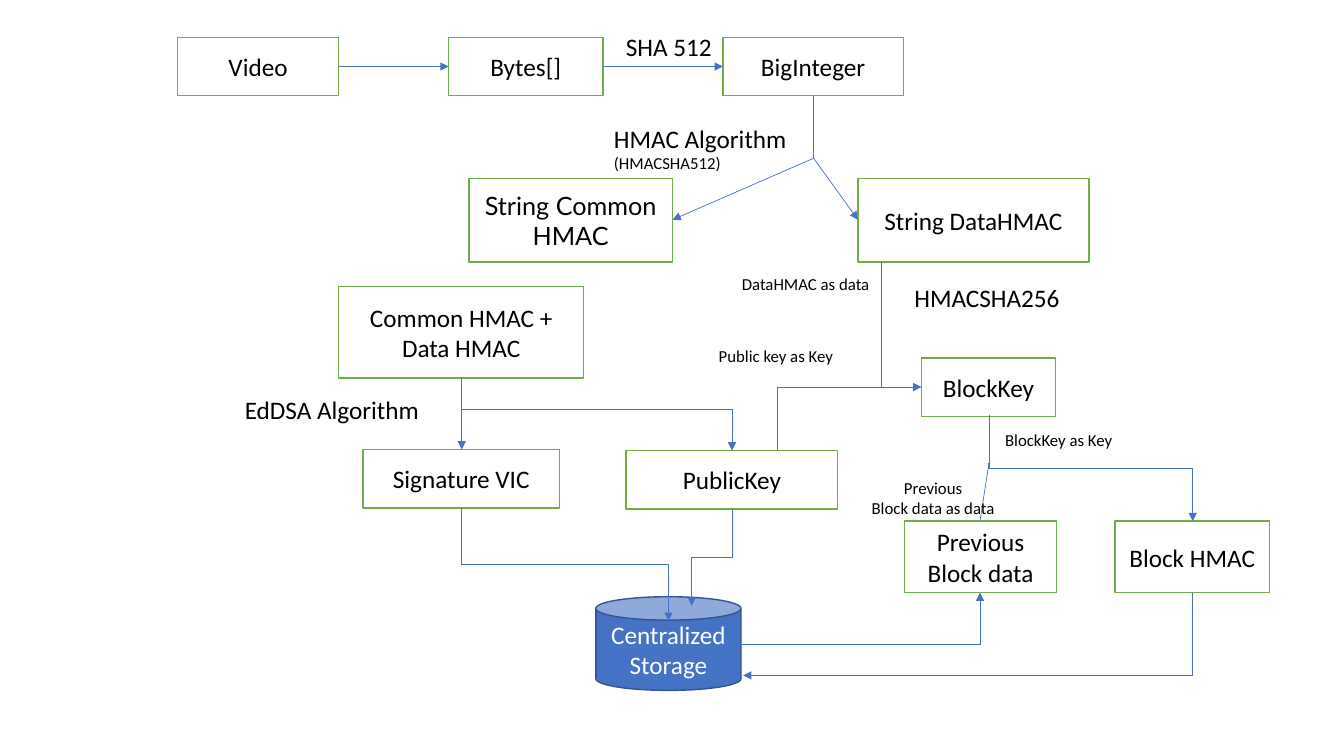
"""Build the slide showing how video integrity codes are computed and stored."""
from lxml import etree
from pptx import Presentation
from pptx.dml.color import RGBColor
from pptx.enum.shapes import MSO_CONNECTOR, MSO_SHAPE
from pptx.enum.text import MSO_ANCHOR, PP_ALIGN
from pptx.oxml.ns import qn
from pptx.util import Inches, Pt

RECT, CAN = MSO_SHAPE.RECTANGLE, MSO_SHAPE.CAN
STRAIGHT, ELBOW = MSO_CONNECTOR.STRAIGHT, MSO_CONNECTOR.ELBOW
LEFT, CENTER = PP_ALIGN.LEFT, PP_ALIGN.CENTER
TOP, MIDDLE = MSO_ANCHOR.TOP, MSO_ANCHOR.MIDDLE
WHITE = RGBColor(0xFF, 0xFF, 0xFF)
BLACK = RGBColor(0x00, 0x00, 0x00)
GREEN = RGBColor(0x70, 0xAD, 0x47)
BLUE = RGBColor(0x44, 0x72, 0xC4)
NAVY = RGBColor(0x32, 0x54, 0x91)


class Diagram:
    def __init__(self, slide, font="Calibri", size=18):
        self.shapes = slide.shapes
        self.font = font
        self.size = size

    def set_text(self, frame, lines, align, anchor, color, sizes, font=None):
        frame.word_wrap = True
        frame.vertical_anchor = anchor
        for index, (line, size) in enumerate(zip(lines, sizes)):
            paragraph = frame.add_paragraph() if index else frame.paragraphs[0]
            paragraph.text = line
            paragraph.alignment = align
            paragraph.font.name = font or self.font
            paragraph.font.size = Pt(size)
            paragraph.font.color.rgb = color

    def node(self, text, at, kind=RECT, fill=WHITE, outline=GREEN, color=BLACK, font=None):
        shape = self.shapes.add_shape(kind, *map(Inches, at))
        shape.shadow.inherit = False
        shape.fill.solid()
        shape.fill.fore_color.rgb = fill
        shape.line.color.rgb = outline
        shape.line.width = Pt(1)
        lines = text.split("\n")
        self.set_text(shape.text_frame, lines, CENTER, MIDDLE, color, [self.size] * len(lines), font)

    def label(self, text, at, sizes, align=LEFT):
        box = self.shapes.add_textbox(*map(Inches, at))
        self.set_text(box.text_frame, text.split("\n"), align, TOP, BLACK, sizes)

    def connect(self, kind, start, end, arrow):
        connector = self.shapes.add_connector(kind, *map(Inches, start + end))
        connector.line.color.rgb = BLUE
        connector.line.width = Pt(0.5)
        properties = connector._element.spPr
        if arrow:
            etree.SubElement(properties.find(qn("a:ln")), qn("a:tailEnd"), type="triangle")
        etree.SubElement(properties, qn("a:effectLst"))
        return properties

    def line(self, start, end, arrow=False):
        self.connect(STRAIGHT, start, end, arrow)

    def elbow(self, start, end, bends, downward=True):
        degrees = 0
        if downward:
            (x1, y1), (x2, y2) = start, end
            mid_x, mid_y = (x1 + x2) / 2, (y1 + y2) / 2
            half_w, half_h = (y2 - y1) / 2, abs(x2 - x1) / 2
            degrees = 270 if x2 > x1 else 90
            side = half_w if x2 > x1 else -half_w
            start, end = (mid_x + side, mid_y - half_h), (mid_x - side, mid_y + half_h)
        properties = self.connect(ELBOW, start, end, True)
        properties.find(qn("a:xfrm")).set("rot", str(degrees * 60000))
        properties.find(qn("a:prstGeom")).set("prst", f"bentConnector{bends + 1}")


presentation = Presentation()
presentation.slide_width = Inches(13.33)
presentation.slide_height = Inches(7.5)
diagram = Diagram(presentation.slides.add_slide(presentation.slide_layouts[6]))

for step, place in (
    ("Video", (1.76, 0.37, 1.6, 0.58)),
    ("Bytes[]", (4.45, 0.37, 1.53, 0.58)),
    ("BigInteger", (7.17, 0.37, 1.79, 0.58)),
    ("String DataHMAC", (8.51, 1.77, 2.29, 0.83)),
    ("Common HMAC + Data HMAC", (3.36, 2.84, 2.43, 0.91)),
    ("Signature VIC", (3.6, 4.46, 1.95, 0.58)),
    ("PublicKey", (6.21, 4.47, 2.1, 0.58)),
    ("BlockKey", (9.14, 3.55, 1.33, 0.58)),
    ("Block HMAC", (11.06, 5.17, 1.53, 0.71)),
    ("Previous\nBlock data", (8.97, 5.17, 1.51, 0.71)),
):
    diagram.node(step, place)
diagram.node("String Common HMAC", (4.65, 1.77, 2.02, 0.83), font="Lato")
diagram.node("Centralized Storage", (5.91, 5.92, 1.44, 0.93), CAN, BLUE, NAVY, WHITE)

hmac_split, key_turn, key_join = (8.07, 1.57), (7.71, 3.84), (8.74, 3.84)
block_split = (9.8, 4.65)
for start, end in (
    ((8.07, 0.95), hmac_split),
    ((7.71, 4.46), key_turn),
    ((8.74, 2.59), key_join),
    ((9.81, 4.65), block_split),
    (block_split, (9.8, 4.59)),
    ((9.72, 5.17), block_split),
):
    diagram.line(start, end)
for start, end in (
    ((3.36, 0.66), (4.45, 0.66)),
    ((5.99, 0.66), (7.17, 0.66)),
    (hmac_split, (8.51, 2.18)),
    (hmac_split, (6.67, 2.18)),
    ((4.58, 3.75), (4.58, 4.46)),
    (key_turn, (9.14, 3.84)),
):
    diagram.line(start, end, arrow=True)

diagram.elbow((4.58, 4.06), (7.26, 4.47), 1, downward=False)
diagram.elbow((7.36, 6.39), (9.72, 5.88), 1, downward=False)
diagram.elbow((11.83, 5.88), (7.37, 6.7), 1)
diagram.elbow((4.58, 5.04), (6.63, 6.16), 2)
diagram.elbow((9.81, 4.12), (11.83, 5.17), 2)
diagram.elbow((7.26, 5.05), (6.86, 6.01), 2)

for caption, place, sizes in (
    ("SHA 512", (6.11, 0.26, 1.11, 0.4), [18]),
    ("HMAC Algorithm\n(HMACSHA512)", (5.99, 1.17, 2.21, 0.61), [18, 12]),
    ("EdDSA Algorithm", (2.33, 3.86, 2.04, 0.4), [18]),
    ("HMACSHA256", (8.97, 2.75, 1.71, 0.4), [18]),
    ("DataHMAC as data", (7.26, 2.67, 2.25, 0.3), [12]),
    ("Public key as Key", (7.03, 3.38, 1.4, 0.3), [12]),
    ("BlockKey as Key", (9.87, 4.21, 1.86, 0.3), [12]),
):
    diagram.label(caption, place, sizes)
diagram.label("Previous\nBlock data as data", (8.5, 4.69, 1.51, 0.5), [12, 12], CENTER)

presentation.save("out.pptx")
